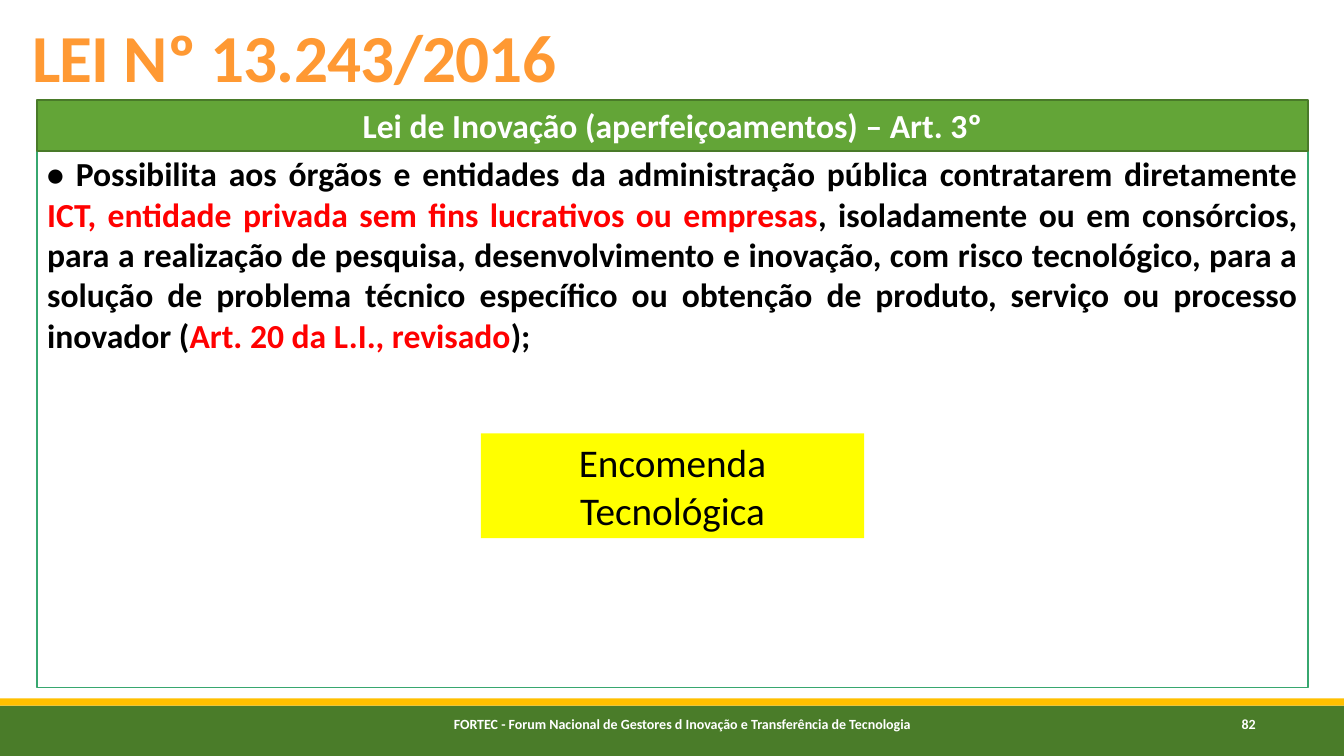
"""Build the slide on Law 13.243/2016 and technology orders."""
from dataclasses import dataclass

from pptx import Presentation
from pptx.dml.color import RGBColor
from pptx.enum import shapes, text
from pptx.util import Emu, Pt

PX = 9144
WIDE, HIGH = 1333, 750
WHITE, BLACK, RED = "FFFFFF", "000000", "FF0000"
GREEN, GOLD, YELLOW = "4A7C29", "FFC000", "FFFF00"
LEFT, MID, JUST = text.PP_ALIGN.LEFT, text.PP_ALIGN.CENTER, text.PP_ALIGN.JUSTIFY
TOP, CENTER, BASE = text.MSO_ANCHOR.TOP, text.MSO_ANCHOR.MIDDLE, text.MSO_ANCHOR.BOTTOM


@dataclass(frozen=True)
class Box:
    x: int
    y: int
    w: int
    h: int
    fill: str = ""
    line: str = ""


def tint(code: str) -> RGBColor:
    return RGBColor.from_string(code)


def draw(slide, box: Box):
    spot = [Emu(n * PX) for n in (box.x, box.y, box.w, box.h)]
    if not box.fill:
        return slide.shapes.add_textbox(*spot)
    shape = slide.shapes.add_shape(shapes.MSO_SHAPE.RECTANGLE, *spot)
    shape.shadow.inherit = False
    shape.fill.solid()
    shape.fill.fore_color.rgb = tint(box.fill)
    if box.line:
        shape.line.color.rgb = tint(box.line)
        shape.line.width = Pt(1.25)
    else:
        shape.line.fill.background()
    return shape


def write(shape, *runs: tuple[str, str], size: int, bold: bool = True, align=MID,
          anchor=TOP, lead: float = 1.0, after: int = 0, track: int = 0) -> None:
    frame = shape.text_frame
    frame.word_wrap = True
    frame.vertical_anchor = anchor
    par = frame.paragraphs[0]
    par.alignment = align
    par.line_spacing = lead
    par.space_after = Pt(after)
    for words, color in runs:
        run = par.add_run()
        run.text = words
        font = run.font
        font.name, font.size, font.bold = "Calibri", Pt(size), bold
        font.color.rgb = tint(color)
        if track:
            run._r.get_or_add_rPr().set("spc", str(track))


def main() -> None:
    deck = Presentation()
    deck.slide_width, deck.slide_height = Emu(WIDE * PX), Emu(HIGH * PX)
    slide = deck.slides.add_slide(deck.slide_layouts[6])

    for band in (Box(0, 700, WIDE, 50, GREEN), Box(0, 693, WIDE, 7, GOLD)):
        draw(slide, band)

    notes = (
        (Box(1166, 705, 145, 40), "82"),
        (Box(292, 705, 769, 40),
         "FORTEC - Forum Nacional de Gestores d Inovação e Transferência de Tecnologia"),
    )
    for box, words in notes:
        write(draw(slide, box), (words, WHITE), size=10)

    title = draw(slide, Box(22, 14, 1198, 86))
    write(title, ("LEI Nº 13.243/2016", "FF9933"), size=48, align=LEFT,
          anchor=BASE, lead=0.85, track=-50)

    body = draw(slide, Box(37, 147, 1260, 535, WHITE, "37A76F"))
    write(
        body,
        ("• Possibilita aos órgãos e entidades da administração pública "
         "contratarem diretamente ", BLACK),
        ("ICT, entidade privada sem fins lucrativos ou empresas", RED),
        (", isoladamente ou em consórcios, para a realização de pesquisa, "
         "desenvolvimento e inovação, com risco tecnológico, para a solução de "
         "problema técnico específico ou obtenção de produto, serviço ou "
         "processo inovador (", BLACK),
        ("Art. 20 da L.I., revisado", RED),
        (");", BLACK),
        size=24, align=JUST, after=6)

    head = draw(slide, Box(37, 99, 1260, 51, "63A537", "497A29"))
    write(head, ("Lei de Inovação (aperfeiçoamentos) – Art. 3º", WHITE),
          size=24, anchor=CENTER)

    order = draw(slide, Box(477, 430, 380, 104, YELLOW))
    write(order, ("Encomenda Tecnológica", BLACK), size=28, bold=False, anchor=CENTER)

    deck.save("out.pptx")


if __name__ == "__main__":
    main()
